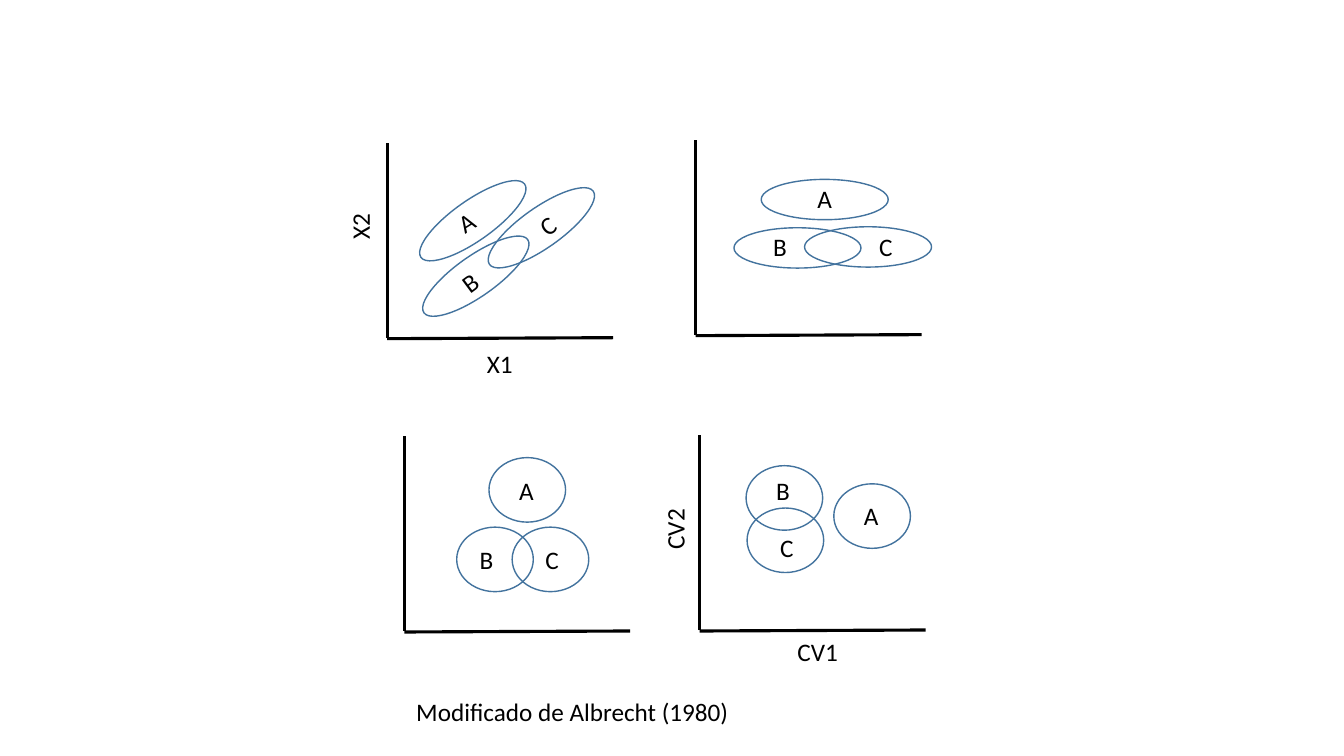
from dataclasses import dataclass

from lxml import etree
from pptx import Presentation
from pptx import util as u
from pptx.dml.color import RGBColor
from pptx.enum import shapes, text
from pptx.oxml.ns import qn
from pptx.shapes.shapetree import GroupShapes, SlideShapes

Canvas = SlideShapes | GroupShapes


@dataclass(frozen=True)
class Theme:
    font: str = "Calibri"
    size: float = 18
    ink: RGBColor = RGBColor(0x00, 0x00, 0x00)
    outline: RGBColor = RGBColor(0x43, 0x73, 0x9E)
    axis_width: float = 2.25
    outline_width: float = 1


@dataclass(frozen=True)
class Label:
    wording: str
    left: float
    top: float
    width: float = 0.46
    rotation: float = 0


@dataclass(frozen=True)
class Panel:
    origin: tuple[float, float]
    ellipse_size: tuple[float, float]
    ellipses: list[tuple[float, float]]
    labels: list[Label]
    tilt: float = 0
    grouped: bool = True


THEME = Theme()
AXIS_X, AXIS_Y, AXIS_RISE = 2.24, 1.93, 0.01
LABEL_HEIGHT = 0.4
FLAT = (1.26, 0.4)
ROUND = (0.76, 0.64)

PANELS = [
    Panel((3.84, 3.36), FLAT, [(4.06, 1.99), (4.09, 2.54), (4.74, 2.06)],
          [Label("X1", 4.73, 3.41), Label("X2", 3.34, 2.04, rotation=270),
           Label("A", 4.43, 1.93, 0.64, 328.5),
           Label("B", 4.48, 2.56, rotation=323.3),
           Label("C", 5.25, 2, rotation=323.3)],
          tilt=324.8, grouped=False),
    Panel((6.9, 3.33), FLAT, [(7.98, 2.25), (7.28, 2.26), (7.55, 1.78)],
          [Label("A", 8.01, 1.77), Label("B", 7.57, 2.25), Label("C", 8.62, 2.25)]),
    Panel((4.01, 6.27), ROUND, [(4.85, 4.54), (4.53, 5.23), (5.08, 5.23)],
          [Label("A", 5.05, 4.67), Label("B", 4.66, 5.35), Label("C", 5.31, 5.35)]),
    Panel((6.94, 6.26), ROUND, [(8.27, 4.8), (7.4, 4.62), (7.41, 5.04)],
          [Label("A", 8.47, 4.91), Label("B", 7.6, 4.67), Label("C", 7.64, 5.23),
           Label("CV1", 7.81, 6.26, 0.75), Label("CV2", 6.35, 5.01, 0.68, 270)]),
]
CAPTION = Label("Modificado de Albrecht (1980)", 4.03, 6.86, 3.51)


def add_axis(canvas: Canvas, start: tuple[float, float], end: tuple[float, float]) -> None:
    axis = canvas.add_connector(
        shapes.MSO_CONNECTOR.STRAIGHT, *(u.Inches(value) for value in start + end))
    axis.line.color.rgb = THEME.ink
    axis.line.width = u.Pt(THEME.axis_width)
    etree.SubElement(axis._element.spPr, qn("a:effectLst"))


def add_ellipse(canvas: Canvas, position: tuple[float, float],
                size: tuple[float, float], tilt: float) -> None:
    ellipse = canvas.add_shape(
        shapes.MSO_SHAPE.OVAL, *(u.Inches(value) for value in position + size))
    ellipse.rotation = tilt
    ellipse.shadow.inherit = False
    ellipse.fill.background()
    ellipse.line.color.rgb = THEME.outline
    ellipse.line.width = u.Pt(THEME.outline_width)


def add_label(canvas: Canvas, label: Label) -> None:
    box = canvas.add_textbox(u.Inches(label.left), u.Inches(label.top),
                             u.Inches(label.width), u.Inches(LABEL_HEIGHT))
    box.rotation = label.rotation
    frame = box.text_frame
    frame.word_wrap = True
    frame.auto_size = text.MSO_AUTO_SIZE.SHAPE_TO_FIT_TEXT
    run = frame.paragraphs[0].add_run()
    run.text = label.wording
    run.font.name = THEME.font
    run.font.size = u.Pt(THEME.size)
    run.font.color.rgb = THEME.ink


def add_panel(slide_shapes: SlideShapes, panel: Panel) -> None:
    canvas = slide_shapes.add_group_shape().shapes if panel.grouped else slide_shapes
    x, y = panel.origin
    corner = y - AXIS_RISE
    add_axis(canvas, (x, y), (x + AXIS_X, corner))
    add_axis(canvas, (x, corner), (x, corner - AXIS_Y))
    for position in panel.ellipses:
        add_ellipse(canvas, position, panel.ellipse_size, panel.tilt)
    for label in panel.labels:
        add_label(canvas, label)


def main() -> None:
    presentation = Presentation()
    presentation.slide_width = u.Inches(13.33)
    presentation.slide_height = u.Inches(7.5)
    slide = presentation.slides.add_slide(presentation.slide_layouts[6])
    for panel in PANELS:
        add_panel(slide.shapes, panel)
    add_label(slide.shapes, CAPTION)
    presentation.save("out.pptx")


if __name__ == "__main__":
    main()
